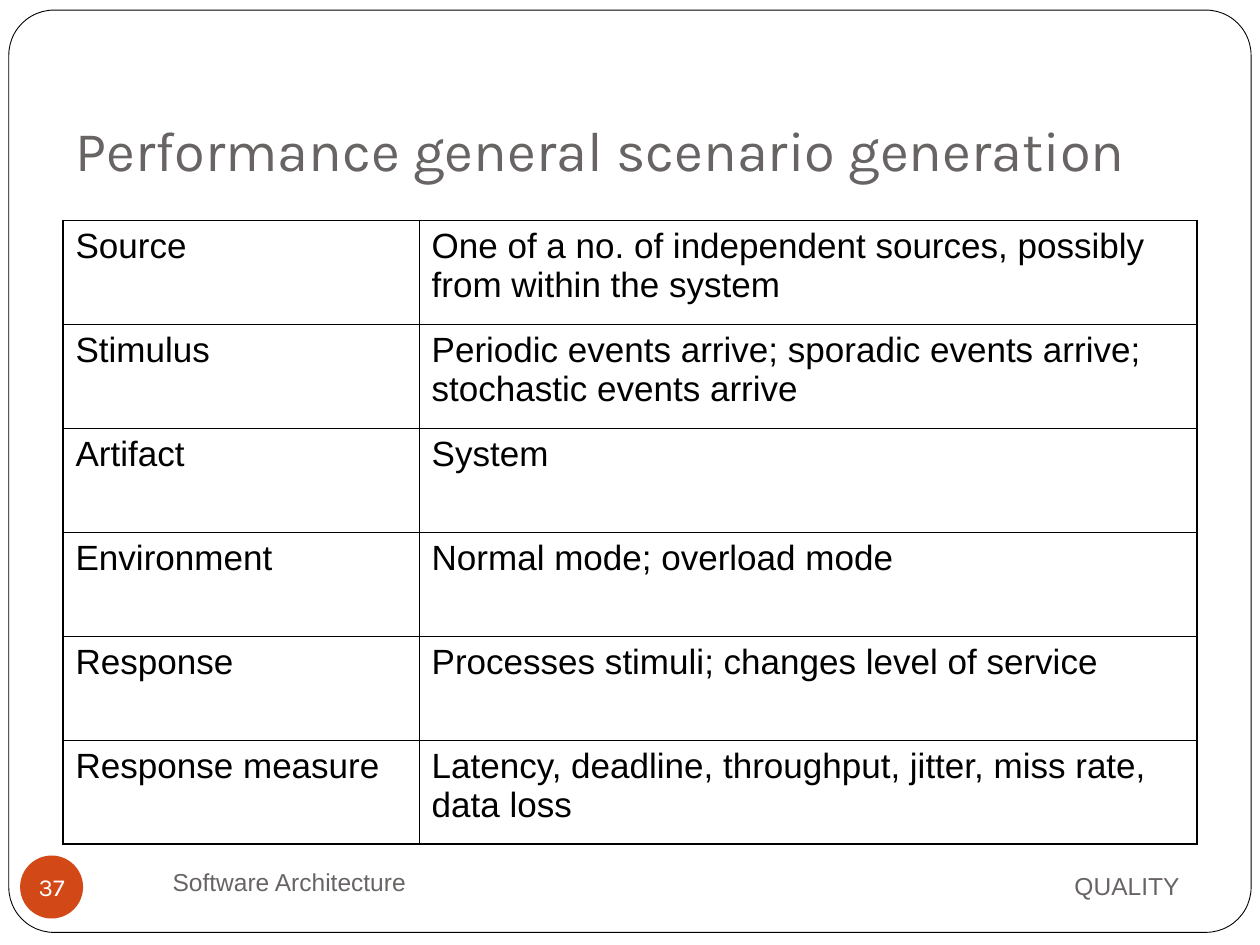
from lxml import etree
from pptx import Presentation
from pptx import util as u
from pptx.dml.color import RGBColor
from pptx.enum import shapes, text
from pptx.oxml import ns

WIDTH, HEIGHT = u.Inches(10), u.Inches(7.5)
BLACK = RGBColor(0x00, 0x00, 0x00)
WHITE = RGBColor(0xFF, 0xFF, 0xFF)
GREY = RGBColor(0x69, 0x64, 0x64)
ORANGE = RGBColor(0xD3, 0x48, 0x17)
OUTER, INNER = 1.08, 0.45
SCENARIO = [
    ("Source", "One of a no. of independent sources, possibly from within the system"),
    ("Stimulus", "Periodic events arrive; sporadic events arrive; stochastic events arrive"),
    ("Artifact", "System"),
    ("Environment", "Normal mode; overload mode"),
    ("Response", "Processes stimuli; changes level of service"),
    ("Response measure", "Latency, deadline, throughput, jitter, miss rate, data loss"),
]
COLUMN_SHARES = (0.314, 0.686)


def inches(*lengths):
    return [u.Inches(length) for length in lengths]


def write(frame, words, size, font, color, align=text.PP_ALIGN.LEFT):
    frame.text = words
    paragraph = frame.paragraphs[0]
    paragraph.alignment = align
    paragraph.font.size = u.Pt(size)
    paragraph.font.name = font
    paragraph.font.color.rgb = color


def add_border(cell, side, points):
    line = etree.SubElement(cell._tc.get_or_add_tcPr(), ns.qn(f"a:ln{side}"), w=str(u.Pt(points)))
    fill = etree.SubElement(line, ns.qn("a:solidFill"))
    etree.SubElement(fill, ns.qn("a:srgbClr"), val=str(BLACK))


def add_title(slide, box):
    title = slide.shapes.title
    title.left, title.top, title.width, title.height = box
    frame = title.text_frame
    write(frame, "Performance general scenario generation", 32, "Karla", GREY)
    frame.auto_size = text.MSO_AUTO_SIZE.NONE
    frame.vertical_anchor = text.MSO_ANCHOR.BOTTOM
    frame.margin_bottom = u.Inches(0.1)


def add_page_frame(slide, box):
    page_frame = slide.shapes.add_shape(shapes.MSO_SHAPE.ROUNDED_RECTANGLE, *box)
    page_frame.adjustments[0] = 0.049
    page_frame.shadow.inherit = False
    page_frame.fill.solid()
    page_frame.fill.fore_color.rgb = WHITE
    page_frame.line.color.rgb = BLACK
    page_frame.line.width = u.Pt(0.5)
    slide.shapes.title._element.addprevious(page_frame._element)


def add_scenario_table(slide, box):
    last_row, last_column = len(SCENARIO) - 1, len(COLUMN_SHARES) - 1
    table = slide.shapes.add_table(last_row + 1, last_column + 1, *box).table
    table.first_row = table.horz_banding = False
    for column, share in zip(table.columns, COLUMN_SHARES):
        column.width = int(box[2] * share)
    for r, entries in enumerate(SCENARIO):
        for c, entry in enumerate(entries):
            cell = table.cell(r, c)
            write(cell.text_frame, entry, 20, "Arial", BLACK)
            edges = {"L": c == 0, "R": c == last_column, "T": r == 0, "B": r == last_row}
            for side, is_outer in edges.items():
                add_border(cell, side, OUTER if is_outer else INNER)
            cell.fill.background()


def add_footer_label(slide, box, words, align, indent=0.1):
    frame = slide.shapes.add_textbox(*box).text_frame
    frame.word_wrap = True
    frame.vertical_anchor = text.MSO_ANCHOR.MIDDLE
    frame.margin_left = u.Inches(indent)
    write(frame, words, 14, "Arial", GREY, align)


def add_page_number(slide, box):
    badge = slide.shapes.add_shape(shapes.MSO_SHAPE.OVAL, *box)
    badge.shadow.inherit = False
    badge.fill.solid()
    badge.fill.fore_color.rgb = ORANGE
    badge.line.fill.background()
    frame = badge.text_frame
    frame.margin_left = frame.margin_right = frame.margin_top = frame.margin_bottom = 0
    frame.vertical_anchor = text.MSO_ANCHOR.MIDDLE
    write(frame, "37", 14, "Karla", WHITE, text.PP_ALIGN.CENTER)


def main():
    deck = Presentation()
    deck.slide_width, deck.slide_height = WIDTH, HEIGHT
    slide = deck.slides.add_slide(deck.slide_layouts[5])
    add_page_frame(slide, inches(0.07, 0.08, 9.86, 7.32))
    add_title(slide, inches(0.5, 0.3, 9, 1.25))
    add_scenario_table(slide, inches(0.5, 1.75, 9, 4.95))
    add_footer_label(slide, inches(6.75, 6.77, 2.71, 0.52), "QUALITY", text.PP_ALIGN.RIGHT)
    add_footer_label(slide, inches(1, 6.75, 4.33, 0.5), "Software Architecture",
                     text.PP_ALIGN.LEFT, indent=0.37)
    add_page_number(slide, inches(0.16, 6.79, 0.5, 0.5))
    deck.save("out.pptx")


if __name__ == "__main__":
    main()
